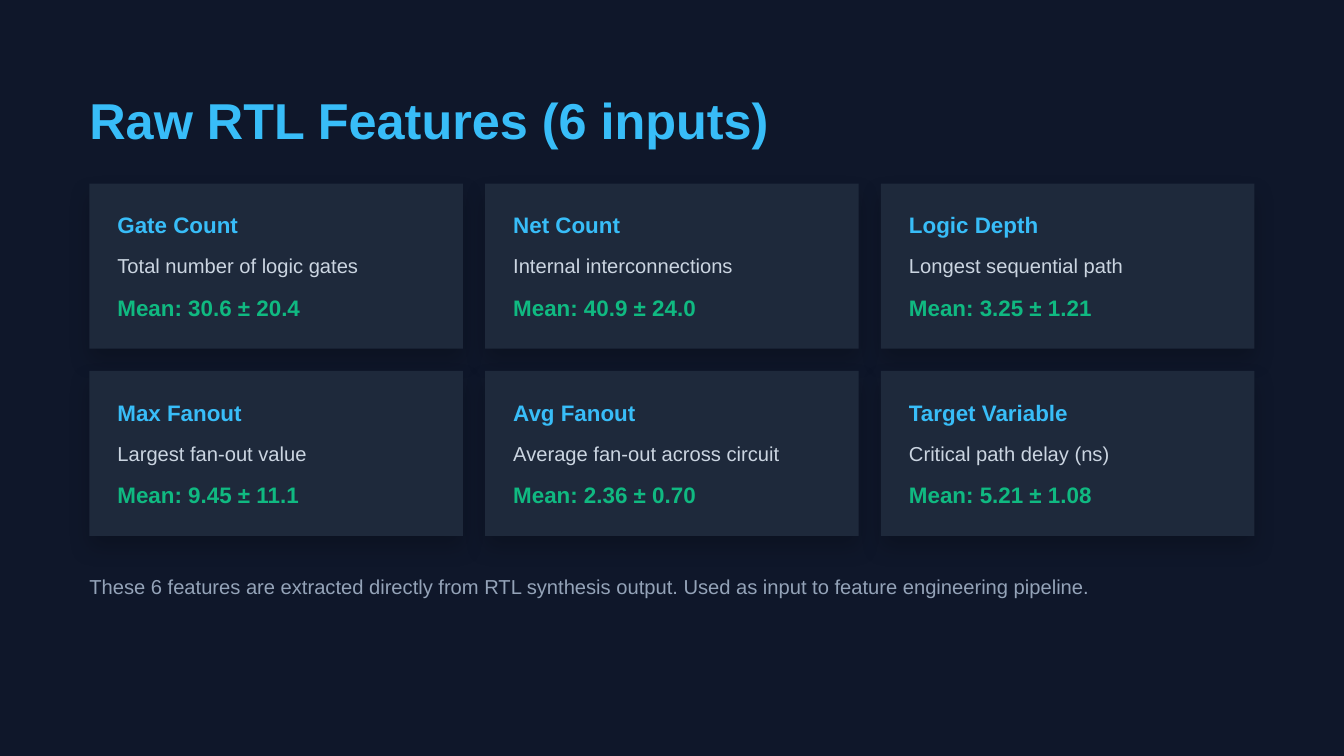
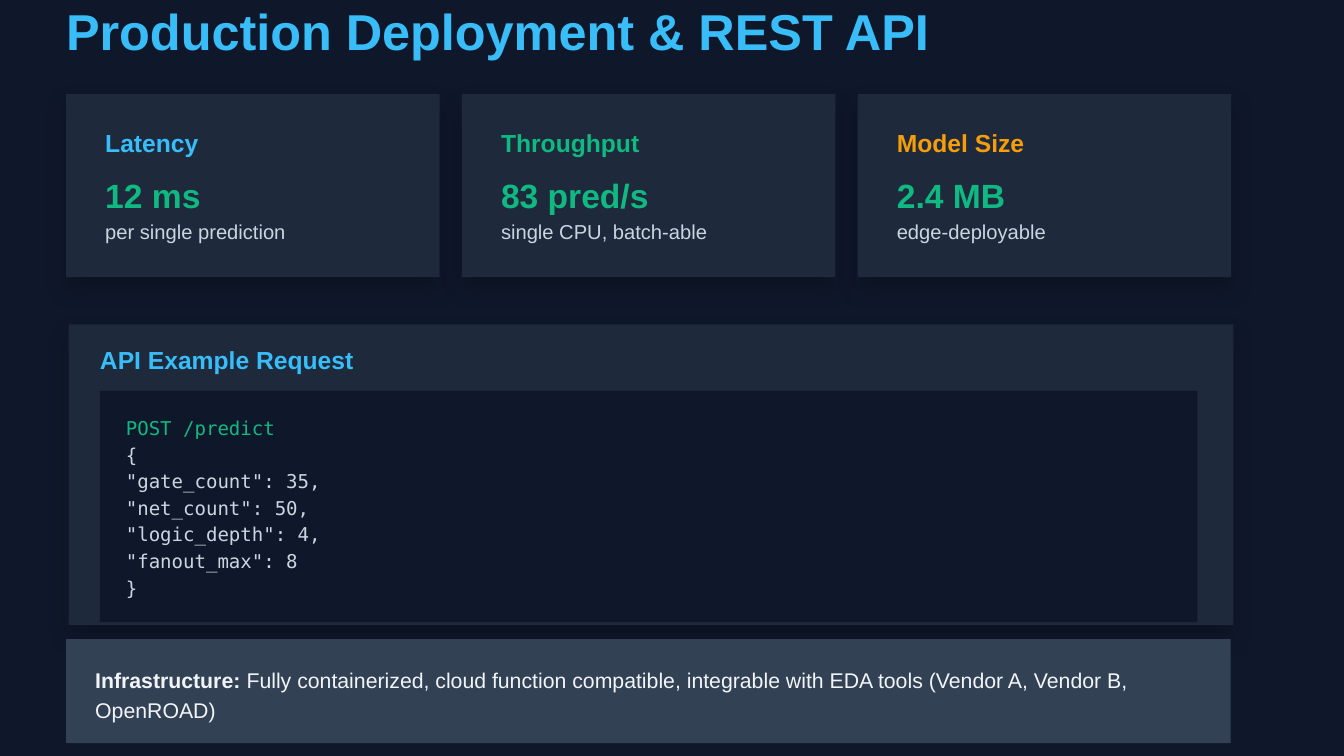
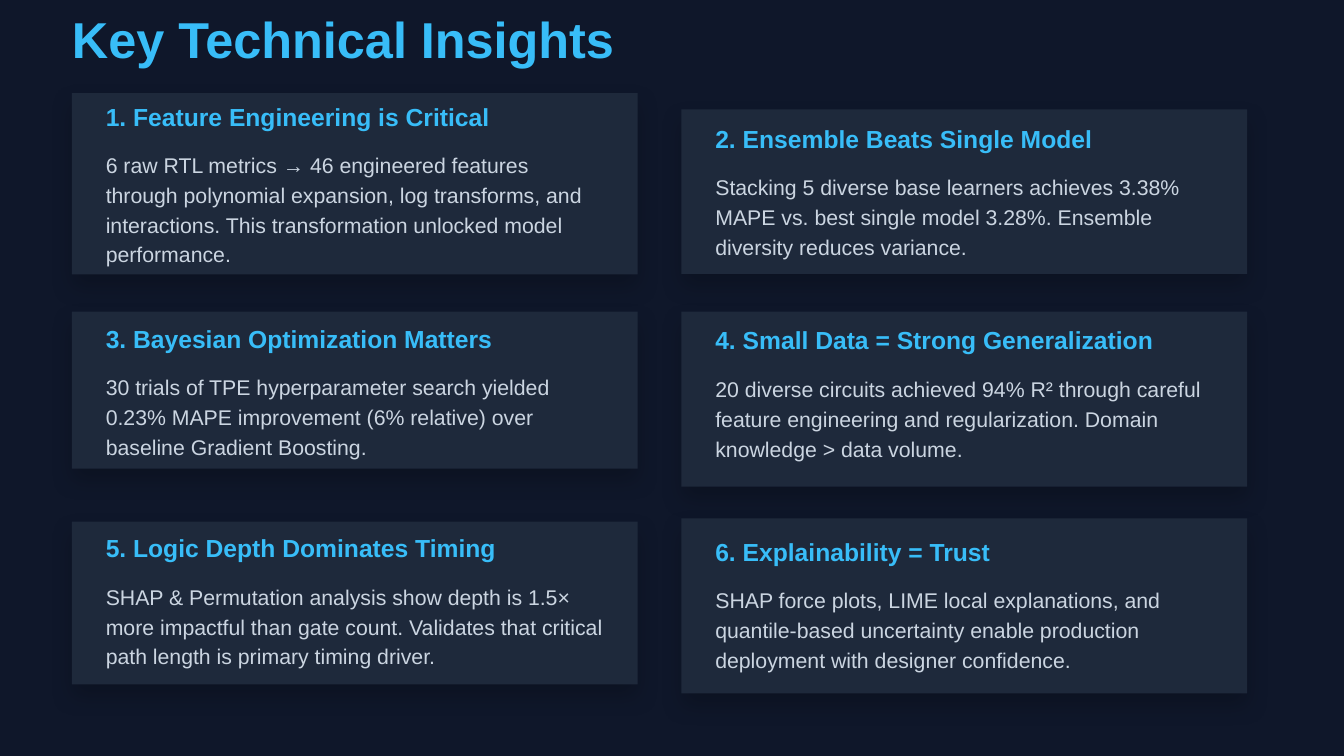
from dataclasses import dataclass, replace

from lxml.etree import SubElement
from pptx import Presentation
from pptx.dml.color import RGBColor
from pptx.enum.shapes import MSO_SHAPE
from pptx.oxml.ns import qn
from pptx.util import Cm, Pt

NAVY = RGBColor(0x0F, 0x17, 0x2A)
PANEL = RGBColor(0x1E, 0x29, 0x3B)
SLATE = RGBColor(0x33, 0x41, 0x55)
SKY = RGBColor(0x38, 0xBD, 0xF8)
GREEN = RGBColor(0x10, 0xB9, 0x81)
AMBER = RGBColor(0xF5, 0x9E, 0x0B)
LIGHT = RGBColor(0xCB, 0xD5, 0xE1)
MUTED = RGBColor(0x94, 0xA3, 0xB8)
WHITE = RGBColor(0xF1, 0xF5, 0xF9)


@dataclass(frozen=True)
class TextStyle:
    size: float
    color: RGBColor
    bold: bool = False
    leading: float = 1.4
    font: str = "Arial"


TITLE = TextStyle(27, SKY, True, 1.2)
HEADING = TextStyle(13.2, SKY, True, 1.2)
FEATURE = replace(HEADING, size=12)
MEAN = TextStyle(12, GREEN, True)
FIGURE = TextStyle(18, GREEN, True)
DETAIL = TextStyle(10.8, LIGHT)
NOTE = replace(DETAIL, color=MUTED)
BODY = TextStyle(11.4, LIGHT)
INFRASTRUCTURE = replace(BODY, color=WHITE)
CODE = TextStyle(10.2, LIGHT, font="DejaVu Sans Mono")

THIRD_WIDTH = 7.06
THIRD_STEP = 7.48
FULL_WIDTH = 22.01


class DeckBuilder:
    def __init__(self):
        self.deck = Presentation()
        self.deck.slide_width = Cm(25.4)
        self.deck.slide_height = Cm(14.29)
        self.slide = None

    def start_slide(self, title, left, top):
        self.slide = self.deck.slides.add_slide(self.deck.slide_layouts[6])
        fill = self.slide.background.fill
        fill.solid()
        fill.fore_color.rgb = NAVY
        self.text(title, left, top, 22.45, TITLE)

    def panel(self, left, top, width, height, color):
        shape = self.slide.shapes.add_shape(
            MSO_SHAPE.RECTANGLE, Cm(left), Cm(top), Cm(width), Cm(height))
        shape.shadow.inherit = False
        shape.fill.solid()
        shape.fill.fore_color.rgb = color
        shape.line.fill.background()
        return shape

    def card(self, left, top, width, height):
        shape = self.panel(left, top, width, height, PANEL)
        effects = shape._element.spPr.find(qn("a:effectLst"))
        shadow = SubElement(effects, qn("a:outerShdw"), blurRad=str(Pt(12)),
                            dist=str(Pt(6)), dir="5400000", rotWithShape="0")
        color = SubElement(shadow, qn("a:srgbClr"), val="000000")
        SubElement(color, qn("a:alpha"), val="20000")

    def format_span(self, span, style):
        span.font.name = style.font
        span.font.size = Pt(style.size)
        span.font.bold = style.bold
        span.font.color.rgb = style.color

    def text(self, words, left, top, width, style, lines=1):
        leading = Pt(style.size * style.leading)
        box = self.slide.shapes.add_textbox(
            Cm(left), Cm(top), Cm(width), round(leading * lines))
        frame = box.text_frame
        frame.margin_left = frame.margin_right = 0
        frame.margin_top = frame.margin_bottom = 0
        frame.word_wrap = True
        frame.text = words
        for para in frame.paragraphs:
            para.line_spacing = leading
            for span in para.runs:
                self.format_span(span, style)
        return frame.paragraphs

    def save(self):
        self.deck.save("out.pptx")


def add_features(builder):
    left, top = 1.69, 3.47
    builder.start_slide("Raw RTL Features (6 inputs)", left, 1.69)
    features = [
        ("Gate Count", "Total number of logic gates", "Mean: 30.6 ± 20.4"),
        ("Net Count", "Internal interconnections", "Mean: 40.9 ± 24.0"),
        ("Logic Depth", "Longest sequential path", "Mean: 3.25 ± 1.21"),
        ("Max Fanout", "Largest fan-out value", "Mean: 9.45 ± 11.1"),
        ("Avg Fanout", "Average fan-out across circuit", "Mean: 2.36 ± 0.70"),
        ("Target Variable", "Critical path delay (ns)", "Mean: 5.21 ± 1.08"),
    ]
    for index, (name, meaning, mean) in enumerate(features):
        row, column = divmod(index, 3)
        x = left + column * THIRD_STEP
        y = top + row * 3.54
        builder.card(x, y, THIRD_WIDTH, 3.12)
        builder.text(name, x + 0.53, y + 0.53, 6.12, FEATURE)
        builder.text(meaning, x + 0.53, y + 1.25, 6.12, DETAIL)
        builder.text(mean, x + 0.53, y + 2, 6.12, MEAN)
    builder.text("These 6 features are extracted directly from RTL synthesis output. "
                 "Used as input to feature engineering pipeline.",
                 left, 10.78, FULL_WIDTH, NOTE, lines=2.5)


def add_deployment(builder):
    left, top = 1.25, 1.78
    builder.start_slide("Production Deployment & REST API", left, 0)
    metrics = [
        ("Latency", SKY, "12 ms", "per single prediction"),
        ("Throughput", GREEN, "83 pred/s", "single CPU, batch-able"),
        ("Model Size", AMBER, "2.4 MB", "edge-deployable"),
    ]
    for column, (name, color, figure, detail) in enumerate(metrics):
        x = left + column * THIRD_STEP
        builder.card(x, top, THIRD_WIDTH, 3.46)
        builder.text(name, x + 0.74, top + 0.64, 5.79, replace(HEADING, color=color))
        builder.text(figure, x + 0.74, top + 1.4, 5.79, FIGURE)
        builder.text(detail, x + 0.74, top + 2.29, 5.79, DETAIL)

    builder.card(1.3, 6.13, FULL_WIDTH, 5.69)
    builder.text("API Example Request", 1.89, 6.51, 21.16, HEADING)
    builder.panel(1.89, 7.39, 20.74, 4.37, NAVY)
    request = [
        "POST /predict",
        "{",
        '"gate_count": 35,',
        '"net_count": 50,',
        '"logic_depth": 4,',
        '"fanout_max": 8',
        "}",
    ]
    code = builder.text("\n".join(request), 2.38, 7.8, 20.22, CODE, lines=len(request))
    code[0].runs[0].font.color.rgb = GREEN

    builder.panel(left, 12.08, FULL_WIDTH, 1.97, SLATE)
    para = builder.text("Infrastructure:", 1.8, 12.53, 21.06,
                        replace(INFRASTRUCTURE, bold=True), lines=2)[0]
    span = para.add_run()
    span.text = (" Fully containerized, cloud function compatible, integrable with "
                 "EDA tools (Vendor A, Vendor B, OpenROAD)")
    builder.format_span(span, INFRASTRUCTURE)


def add_insights(builder):
    left, right = 1.36, 12.88
    builder.start_slide("Key Technical Insights", left, 0.15)
    insights = [
        (left, 1.76, 3.43, 1.92, 4, "1. Feature Engineering is Critical",
         "6 raw RTL metrics → 46 engineered features through polynomial expansion, "
         "log transforms, and interactions. This transformation unlocked model "
         "performance."),
        (right, 2.07, 3.11, 2.34, 3, "2. Ensemble Beats Single Model",
         "Stacking 5 diverse base learners achieves 3.38% MAPE vs. best single model "
         "3.28%. Ensemble diversity reduces variance."),
        (left, 5.89, 2.97, 6.12, 3, "3. Bayesian Optimization Matters",
         "30 trials of TPE hyperparameter search yielded 0.23% MAPE improvement "
         "(6% relative) over baseline Gradient Boosting."),
        (right, 5.89, 3.31, 6.15, 3, "4. Small Data = Strong Generalization",
         "20 diverse circuits achieved 94% R² through careful feature engineering "
         "and regularization. Domain knowledge > data volume."),
        (left, 9.86, 3.08, 10.08, 3, "5. Logic Depth Dominates Timing",
         "SHAP & Permutation analysis show depth is 1.5× more impactful than gate "
         "count. Validates that critical path length is primary timing driver."),
        (right, 9.8, 3.31, 10.14, 3, "6. Explainability = Trust",
         "SHAP force plots, LIME local explanations, and quantile-based uncertainty "
         "enable production deployment with designer confidence."),
    ]
    for x, y, height, heading_top, lines, heading, body in insights:
        builder.card(x, y, 10.69, height)
        builder.text(heading, x + 0.64, heading_top, 9.6, HEADING)
        builder.text(body, x + 0.64, heading_top + 0.88, 9.42, BODY, lines)


def main():
    builder = DeckBuilder()
    add_features(builder)
    add_deployment(builder)
    add_insights(builder)
    builder.save()


if __name__ == "__main__":
    main()
